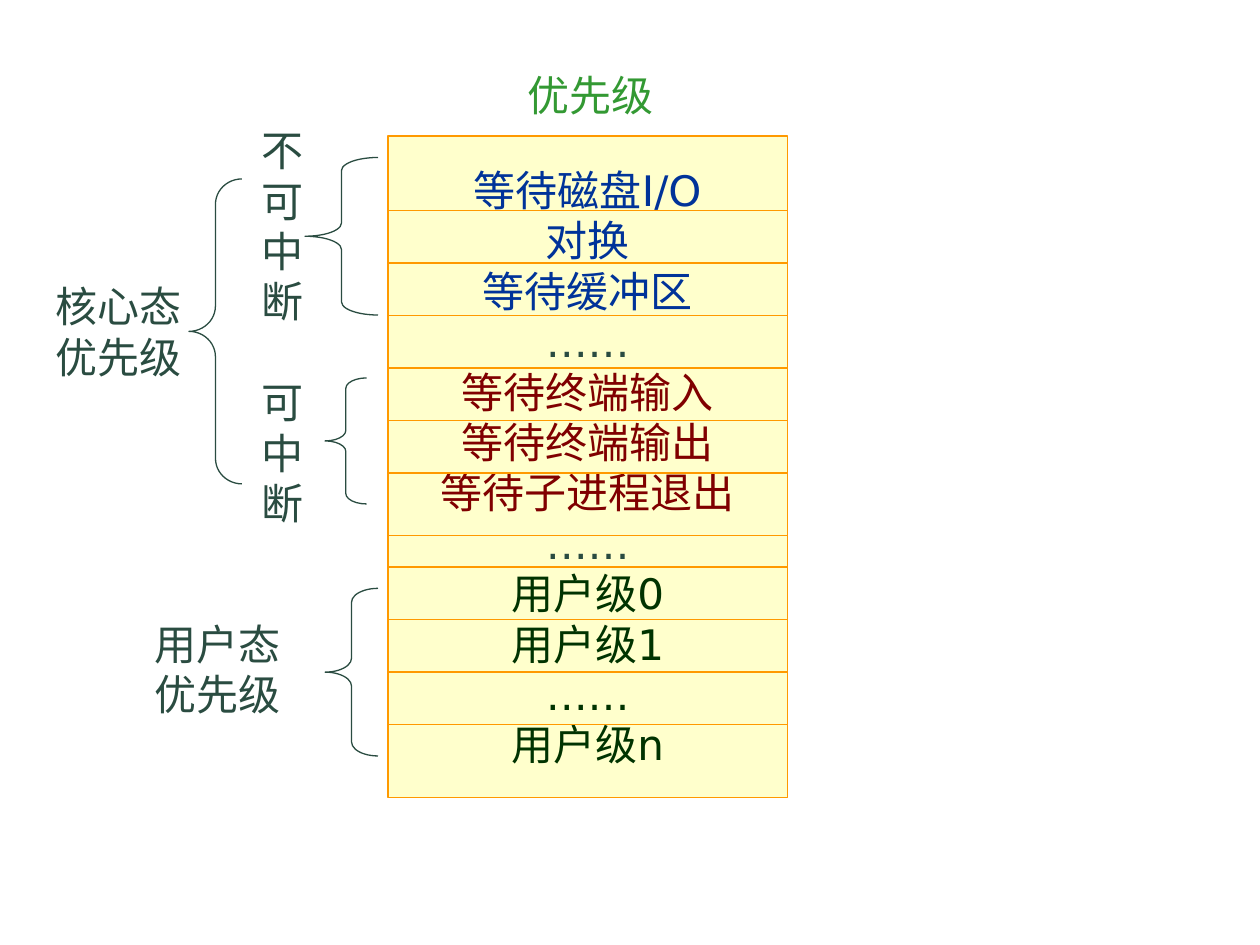
"""Build a slide showing the ordering of process priority levels."""
from typing import NamedTuple

from lxml import etree
from pptx import Presentation
from pptx.dml.color import RGBColor
from pptx.enum.shapes import MSO_CONNECTOR, MSO_SHAPE
from pptx.enum.text import MSO_ANCHOR, MSO_AUTO_SIZE, PP_ALIGN
from pptx.oxml.ns import qn
from pptx.util import Inches, Pt

RECTANGLE = MSO_SHAPE.RECTANGLE
LEFT_BRACE = MSO_SHAPE.LEFT_BRACE
STRAIGHT = MSO_CONNECTOR.STRAIGHT
MIDDLE = MSO_ANCHOR.MIDDLE
FIT_SHAPE = MSO_AUTO_SIZE.SHAPE_TO_FIT_TEXT
CENTER = PP_ALIGN.CENTER
LEFT = PP_ALIGN.LEFT

FONT = "DejaVu Sans"
FONT_SIZE = 24
LINE_WIDTH = 0.75
ORANGE, CREAM = "FF9900", "FFFFCC"
SLATE, GREEN = "2A4C41", "339933"
BLUE, RED, DARK_GREEN = "003399", "800000", "003300"

STACK_LEFT, STACK_TOP, STACK_WIDTH, STACK_HEIGHT = 3.08, 1.08, 3.17, 5.25
ROW_STEP = 5 / 12


class Line(NamedTuple):
    text: str
    color: str


class Label(NamedTuple):
    lines: list[Line]
    left: float
    top: float
    width: float
    height: float
    wrap: bool


class Brace(NamedTuple):
    left: float
    top: float
    width: float
    height: float


LEVELS = [
    Line("等待磁盘I/O", BLUE),
    Line("对换", BLUE),
    Line("等待缓冲区", BLUE),
    Line("……", SLATE),
    Line("等待终端输入", RED),
    Line("等待终端输出", RED),
    Line("等待子进程退出", RED),
    Line("……", SLATE),
    Line("用户级0", DARK_GREEN),
    Line("用户级1", DARK_GREEN),
    Line("……", DARK_GREEN),
    Line("用户级n", DARK_GREEN),
]
KERNEL_DIVIDERS = [1.67 + ROW_STEP * row for row in range(6)]
USER_DIVIDERS = [4.5 + ROW_STEP * row for row in range(4)]
DIVIDERS = [*KERNEL_DIVIDERS, 4.25, *USER_DIVIDERS]

LABELS = [
    Label([Line("优先级", GREEN)], 4.09, 0.5, 1.2, 0.5, False),
    Label([Line("不可中断", SLATE)], 1.98, 0.94, 0.52, 1.7, True),
    Label([Line("可中断", SLATE)], 1.98, 2.94, 0.6, 1.3, True),
    Label([Line("用户态", SLATE), Line("优先级", SLATE)], 1.13, 4.86, 1.2, 0.9, False),
    Label([Line("核心态", SLATE), Line("优先级", SLATE)], 0.34, 2.18, 1.2, 0.9, False),
]
BRACES = [
    Brace(2.42, 1.25, 0.58, 1.25),
    Brace(2.58, 3, 0.33, 1),
    Brace(2.58, 4.67, 0.42, 1.33),
    Brace(1.5, 1.42, 0.42, 2.42),
]


def rgb(color: str) -> RGBColor:
    """Turn a hex string into a colour."""
    return RGBColor.from_string(color)


def set_line(shape, color: str) -> None:
    """Give an outline or connector its colour and width."""
    shape.line.color.rgb = rgb(color)
    shape.line.width = Pt(LINE_WIDTH)


def write_lines(text_frame, lines: list[Line], alignment: PP_ALIGN) -> None:
    """Write each line as a paragraph of its own."""
    for index, line in enumerate(lines):
        paragraph = text_frame.add_paragraph() if index else text_frame.paragraphs[0]
        paragraph.alignment = alignment
        run = paragraph.add_run()
        run.text = line.text
        run.font.name = FONT
        run.font.size = Pt(FONT_SIZE)
        run.font.color.rgb = rgb(line.color)


def draw_stack(slide) -> None:
    """Draw the column of priority levels with its dividers."""
    shapes = slide.shapes.add_group_shape().shapes
    stack = shapes.add_shape(
        RECTANGLE, Inches(STACK_LEFT), Inches(STACK_TOP),
        Inches(STACK_WIDTH), Inches(STACK_HEIGHT),
    )
    stack.shadow.inherit = False
    stack.fill.solid()
    stack.fill.fore_color.rgb = rgb(CREAM)
    set_line(stack, ORANGE)
    stack.text_frame.word_wrap = False
    stack.text_frame.vertical_anchor = MIDDLE
    write_lines(stack.text_frame, LEVELS, CENTER)
    for height in DIVIDERS:
        divider = shapes.add_connector(
            STRAIGHT, Inches(STACK_LEFT), Inches(height),
            Inches(STACK_LEFT + STACK_WIDTH), Inches(height),
        )
        set_line(divider, ORANGE)
        etree.SubElement(divider._element.spPr, qn("a:effectLst"))


def draw_brace(slide, brace: Brace) -> None:
    """Draw a left brace whose curves each take a twelfth of its height."""
    shape = slide.shapes.add_shape(LEFT_BRACE, *(Inches(length) for length in brace))
    shape.adjustments[0] = brace.height / 12 / brace.width
    shape.shadow.inherit = False
    shape.fill.background()
    set_line(shape, SLATE)


def draw_label(slide, label: Label) -> None:
    """Draw a text label."""
    box = slide.shapes.add_textbox(
        Inches(label.left), Inches(label.top), Inches(label.width), Inches(label.height)
    )
    box.text_frame.word_wrap = label.wrap
    box.text_frame.auto_size = FIT_SHAPE
    write_lines(box.text_frame, label.lines, LEFT)


def main() -> None:
    """Build and save the presentation."""
    presentation = Presentation()
    presentation.slide_width = Inches(10)
    presentation.slide_height = Inches(7.5)
    slide = presentation.slides.add_slide(presentation.slide_layouts[6])
    draw_stack(slide)
    for brace in BRACES:
        draw_brace(slide, brace)
    for label in LABELS:
        draw_label(slide, label)
    presentation.save("out.pptx")


if __name__ == "__main__":
    main()
